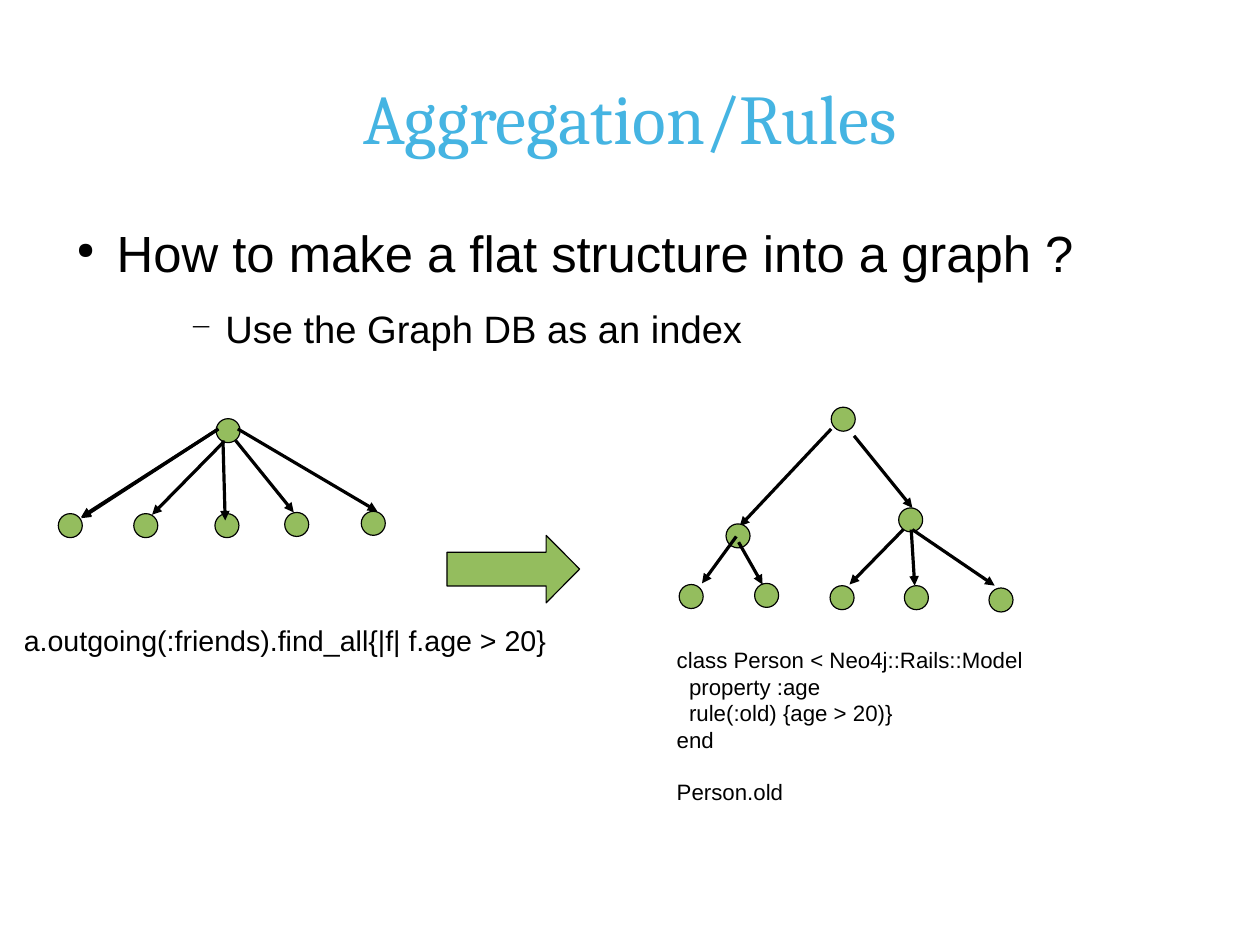
from lxml import etree
from pptx import Presentation
from pptx.dml.color import RGBColor
from pptx.enum.shapes import MSO_CONNECTOR, MSO_SHAPE
from pptx.enum.text import MSO_ANCHOR, PP_ALIGN
from pptx.oxml.ns import qn
from pptx.util import Inches, Pt

STRAIGHT = MSO_CONNECTOR.STRAIGHT
ELLIPSE = MSO_SHAPE.OVAL
RIGHT_ARROW = MSO_SHAPE.RIGHT_ARROW
MIDDLE = MSO_ANCHOR.MIDDLE
CENTER = PP_ALIGN.CENTER

BLACK, GREEN, BLUE = "000000", "94BD5E", "45B4E2"
NODE_SIZE = 0.21


def color(hex_value):
    return RGBColor.from_string(hex_value)


def add_text(box, lines, size, font="Arial", hex_value=BLACK, margins=(0.1, 0.05)):
    """Add a text box with one paragraph per line and return its text frame."""
    frame = slide.shapes.add_textbox(*map(Inches, box)).text_frame
    frame.word_wrap = True
    frame.margin_left = frame.margin_right = Inches(margins[0])
    frame.margin_top = frame.margin_bottom = Inches(margins[1])
    frame.text = "\n".join(lines)
    for paragraph in frame.paragraphs:
        paragraph.font.size = Pt(size)
        paragraph.font.name = font
        paragraph.font.color.rgb = color(hex_value)
    return frame


presentation = Presentation()
presentation.slide_width = Inches(11.02)
presentation.slide_height = Inches(8.27)
slide = presentation.slides.add_slide(presentation.slide_layouts[6])

# Title
title = add_text((0.55, 0.33, 9.92, 1.38), ["Aggregation/Rules"], 44, "Cambria", BLUE, (0, 0))
title.vertical_anchor = MIDDLE
title.paragraphs[0].alignment = CENTER

# Bulleted question and answer: text, size, left, hanging, space after, bullet, bullet percent
bullets = [
    ("How to make a flat structure into a graph ?", 32, 0.47, 0.35, 14.2, "●", 45),
    ("Use the Graph DB as an index", 24, 1.42, 0.31, 8.5, "−", 75),
]
body = add_text((0.55, 1.94, 9.92, 5.46), [bullet[0] for bullet in bullets], 32, margins=(0, 0))
for paragraph, (_, size, left, hanging, after, mark, percent) in zip(body.paragraphs, bullets):
    properties = paragraph._p.get_or_add_pPr()
    properties.set("marL", str(Inches(left)))
    properties.set("indent", str(-Inches(hanging)))
    bullet_size = etree.Element(qn("a:buSzPct"), val=str(percent * 1000))
    bullet_mark = etree.Element(qn("a:buChar"), char=mark)
    properties.insert(0, bullet_size)
    bullet_size.addnext(bullet_mark)
    paragraph.space_after = Pt(after)
    paragraph.font.size = Pt(size)

# Trees, layer by layer: node corners, then the edges drawn over them
layers = [
    # Flat structure
    ([(1.89, 3.66), (0.51, 4.49), (1.17, 4.49), (1.88, 4.49), (2.49, 4.48), (3.16, 4.47)],
     [(1.91, 3.75, 0.71, 4.52), (1.91, 3.75, 0.71, 4.53), (1.96, 3.86, 1.33, 4.5),
      (1.95, 3.85, 1.97, 4.55), (2.06, 3.85, 2.57, 4.48), (2.08, 3.75, 3.3, 4.47)]),
    # Graph: leaves and the edges from its root
    ([(5.94, 5.11), (6.6, 5.1), (7.26, 5.12), (7.91, 5.12), (8.65, 5.14)],
     [(7.27, 3.75, 6.47, 4.6), (7.47, 3.81, 7.98, 4.44)]),
    # Graph: root, inner nodes and the edges to the leaves
    ([(7.27, 3.56), (6.35, 4.58), (7.86, 4.44)],
     [(6.44, 4.69, 6.14, 5.1), (6.46, 4.74, 6.67, 5.11), (7.9, 4.63, 7.43, 5.11),
      (7.97, 4.63, 8, 5.12), (7.98, 4.63, 8.7, 5.12)]),
]
filled_shapes = []
for nodes, edges in layers:
    for left, top in nodes:
        box = (left, top, NODE_SIZE, NODE_SIZE)
        filled_shapes.append(slide.shapes.add_shape(ELLIPSE, *map(Inches, box)))
    for ends in edges:
        edge = slide.shapes.add_connector(STRAIGHT, *map(Inches, ends))
        edge.line.color.rgb = color(BLACK)
        edge.line.width = Pt(0)
        etree.SubElement(edge.line._get_or_add_ln(), qn("a:tailEnd"), type="triangle")
        etree.SubElement(edge._element.spPr, qn("a:effectLst"))

# Arrow from the flat structure to the graph
arrow = slide.shapes.add_shape(RIGHT_ARROW, *map(Inches, (3.91, 4.68, 1.16, 0.59)))
arrow.adjustments[0] = 0.5
arrow.adjustments[1] = 0.495
filled_shapes.append(arrow)

for shape in filled_shapes:
    shape.shadow.inherit = False
    shape.fill.solid()
    shape.fill.fore_color.rgb = color(GREEN)
    shape.line.color.rgb = color(BLACK)
    shape.line.width = Pt(0)

# Code under each tree
add_text((0.11, 5.4, 4.86, 0.38), ["a.outgoing(:friends).find_all{|f| f.age > 20}"], 18)
model_code = [
    "class Person < Neo4j::Rails::Model",
    "  property :age",
    "  rule(:old) {age > 20)}",
    "end",
    "Person.old",
]
model = add_text((5.82, 5.6, 4.32, 1.41), model_code, 14)
model.paragraphs[-1].space_before = Pt(16)

presentation.save("out.pptx")
